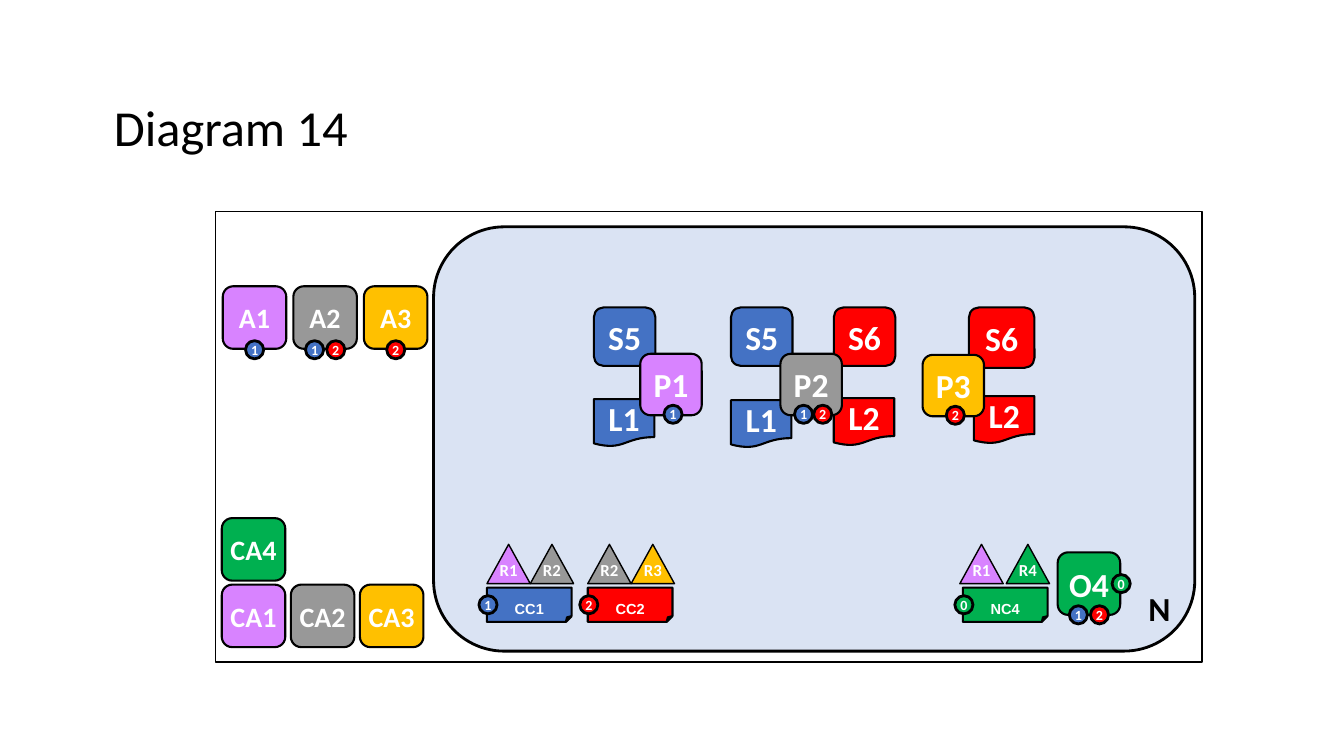
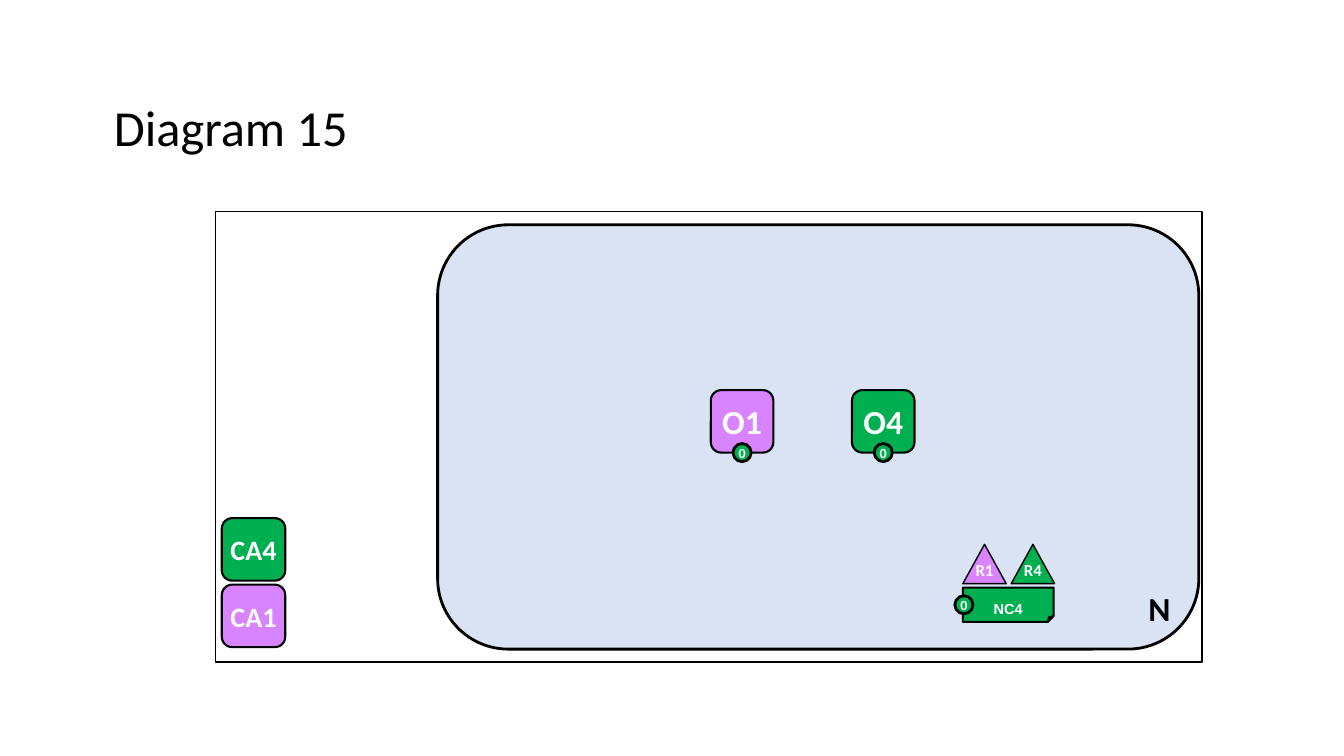
from pptx import Presentation
from pptx.dml.color import RGBColor
from pptx.enum.shapes import MSO_SHAPE
from pptx.enum.text import MSO_ANCHOR, PP_ALIGN
from pptx.util import Inches, Pt

ROUNDED = MSO_SHAPE.ROUNDED_RECTANGLE
RECTANGLE = MSO_SHAPE.RECTANGLE
OVAL = MSO_SHAPE.OVAL
TRIANGLE = MSO_SHAPE.ISOSCELES_TRIANGLE
DOCUMENT = MSO_SHAPE.FLOWCHART_DOCUMENT
FOLDED = MSO_SHAPE.FOLDED_CORNER
TOP, MIDDLE = MSO_ANCHOR.TOP, MSO_ANCHOR.MIDDLE
LEFT, CENTER = PP_ALIGN.LEFT, PP_ALIGN.CENTER

COLORS = {
    "violet": "D883FF", "gray": "989898", "amber": "FFC000", "green": "00B050",
    "blue": "4472C4", "red": "FF0000", "network": "DAE3F3",
    "black": "000000", "white": "FFFFFF",
}
OWNERS = {"1": "violet", "2": "gray", "3": "amber", "4": "green"}
CHANNELS = {"0": "green", "1": "blue", "2": "red"}
BADGE = 0.18
TILE_WIDTH, TILE_HEIGHT = 0.63, 0.62


def color(name):
    """Return the palette colour with this name."""
    return RGBColor.from_string(COLORS[name])


def write(shape, text, size, font="Calibri", fill="white", bold=True, align=CENTER,
          anchor=MIDDLE, insets=(0, 0, 0, 0), baseline=None, spacing=None, wrap=False):
    """Write one formatted line of text into a shape."""
    frame = shape.text_frame
    frame.word_wrap = wrap
    frame.vertical_anchor = anchor
    frame.margin_left, frame.margin_top, frame.margin_right, frame.margin_bottom = map(
        Inches, insets)
    para = frame.paragraphs[0]
    para.alignment = align
    if spacing:
        para.line_spacing = spacing
    span = para.add_run()
    span.text = text
    span.font.name, span.font.size, span.font.bold = font, Pt(size), bold
    span.font.color.rgb = color(fill)
    if baseline:
        span.font._element.set("baseline", str(baseline * 1000))


def add_block(page, kind, left, top, width, height, fill=None, line=1.5):
    """Add an outlined preset shape."""
    block = page.shapes.add_shape(
        kind, Inches(left), Inches(top), Inches(width), Inches(height))
    block.shadow.inherit = False
    if fill:
        block.fill.solid()
        block.fill.fore_color.rgb = color(fill)
    else:
        block.fill.background()
    block.line.color.rgb = color("black")
    block.line.width = Pt(line)
    return block


def add_label(page, text, left, top, width, height, size, **style):
    """Add a black text box."""
    box = page.shapes.add_textbox(
        Inches(left), Inches(top), Inches(width), Inches(height))
    write(box, text, size, fill="black", wrap=True, **style)


def add_badge(page, channel, left, top):
    """Add a small numbered circle in the colour of its channel."""
    badge = add_block(page, OVAL, left, top, BADGE, BADGE, CHANNELS[channel], 2)
    write(badge, channel, 10)


def add_tile(page, text, left, top, width=TILE_WIDTH, height=TILE_HEIGHT, size=20,
             badges="", pitch=0.21, overlap=0.09, nudge=0):
    """Add an owner's tile with a centred row of badges on its lower edge."""
    tile = add_block(page, ROUNDED, left, top, width, height, OWNERS[text[-1]])
    write(tile, text, size)
    row_width = BADGE + pitch * (len(badges) - 1)
    start = left + (width - row_width) / 2 + nudge
    for index, channel in enumerate(badges):
        add_badge(page, channel, start + index * pitch, top + height - overlap)


def add_ledger(page, channel, left, contract_top, contract="S5", width=0.61,
               height=0.58, indent=0.0):
    """Add a smart contract tile above the ledger of its channel."""
    fill = CHANNELS[channel]
    write(add_block(page, ROUNDED, left, 3.05, width, height, fill), contract, 24)
    ledger = add_block(page, DOCUMENT, left + indent, contract_top, 0.6, 0.47, fill)
    write(ledger, "L" + channel, 24)


def add_peer(page, text, left, top, badges):
    """Add a peer tile with the badges of its channels."""
    add_tile(page, text, left, top, 0.61, 0.61, 24, badges, 0.19, 0.1, 0.02)


def add_configuration(page, text, channel, roles, left, width=0.84, offset=0.0,
                      step=0.43, top=5.4):
    """Add a channel configuration with its role triangles and badge."""
    fill = CHANNELS[channel]
    sheet = add_block(page, FOLDED, left, top + 0.43, width, 0.34, fill)
    write(sheet, text, 18, font="Arial", insets=(0.04, 0.05, 0.04, 0.08), baseline=-25)
    for index, role in enumerate(roles):
        triangle = add_block(page, TRIANGLE, left + offset + index * step, top,
                             0.43, 0.39, OWNERS[role[-1]], 1)
        write(triangle, role, 12, insets=(0, 0.05, 0, 0.12))
    add_badge(page, channel, left - 0.08, top + 0.51)


def add_orderer(page, text, left, top, badges):
    """Add an ordering node."""
    add_tile(page, text, left, top, 0.62, 0.62, 24, badges)


def add_authorities(page, names, left=2.2, top=5.14):
    """Stack the fourth authority over a row of the others."""
    add_tile(page, "CA4", left, top)
    for index, name in enumerate(names):
        add_tile(page, name, left + index * 0.685, top + 0.66)


def add_page(deck, title, network_left, network_top):
    """Add a page with its title, outer frame and network area."""
    page = deck.slides.add_slide(deck.slide_layouts[6])
    add_block(page, ROUNDED, network_left, network_top, 7.55, 4.21, "network", 2)
    add_label(page, "N", 11.28, 5.78, 0.44, 0.5, 24, anchor=TOP,
              insets=(0.1, 0.05, 0.1, 0.05))
    add_block(page, RECTANGLE, 2.14, 2.1, 9.78, 4.47, line=1)
    add_label(page, title, 1.08, 0.57, 11.5, 1.45, 36, bold=False, align=LEFT,
              insets=(0.05, 0.05, 0.05, 0.05), spacing=0.9)
    return page


def build_two_channels(deck):
    """Build the network with three peers on two channels."""
    page = add_page(deck, "Diagram 14", 4.3, 2.25)
    for index, (name, badges) in enumerate((("A1", "1"), ("A2", "12"), ("A3", "2"))):
        add_tile(page, name, 2.21 + index * 0.7, 2.84, badges=badges, overlap=0.08)

    add_ledger(page, "1", 5.89, 3.96)
    add_peer(page, "P1", 6.35, 3.51, "1")
    add_ledger(page, "1", 7.25, 3.97)
    add_ledger(page, "2", 8.27, 3.95, "S6")
    add_peer(page, "P2", 7.74, 3.51, "12")
    add_ledger(page, "2", 9.61, 3.93, "S6", 0.65, 0.6, 0.05)
    add_peer(page, "P3", 9.15, 3.52, "2")

    add_configuration(page, "CC1", "1", ("R1", "R2"), 4.83)
    add_configuration(page, "CC2", "2", ("R2", "R3"), 5.83)
    add_configuration(page, "NC4", "0", ("R1", "R4"), 9.55, offset=-0.03, step=0.46)
    add_orderer(page, "O4", 10.49, 5.48, "12")
    add_badge(page, "0", 11.03, 5.7)
    add_authorities(page, ("CA1", "CA2", "CA3"))


def build_orderers(deck):
    """Build the network with two ordering nodes."""
    page = add_page(deck, "Diagram 15", 4.34, 2.23)
    add_configuration(page, "NC4", "0", ("R1", "R4"), 9.55, 0.9, step=0.48)
    for name, left in (("O1", 7.05), ("O4", 8.45)):
        add_orderer(page, name, left, 3.87, "0")
    add_authorities(page, ("CA1",))


def main():
    """Build and save the deck."""
    deck = Presentation()
    deck.slide_width, deck.slide_height = Inches(13.33), Inches(7.5)
    build_two_channels(deck)
    build_orderers(deck)
    deck.save("out.pptx")


if __name__ == "__main__":
    main()
